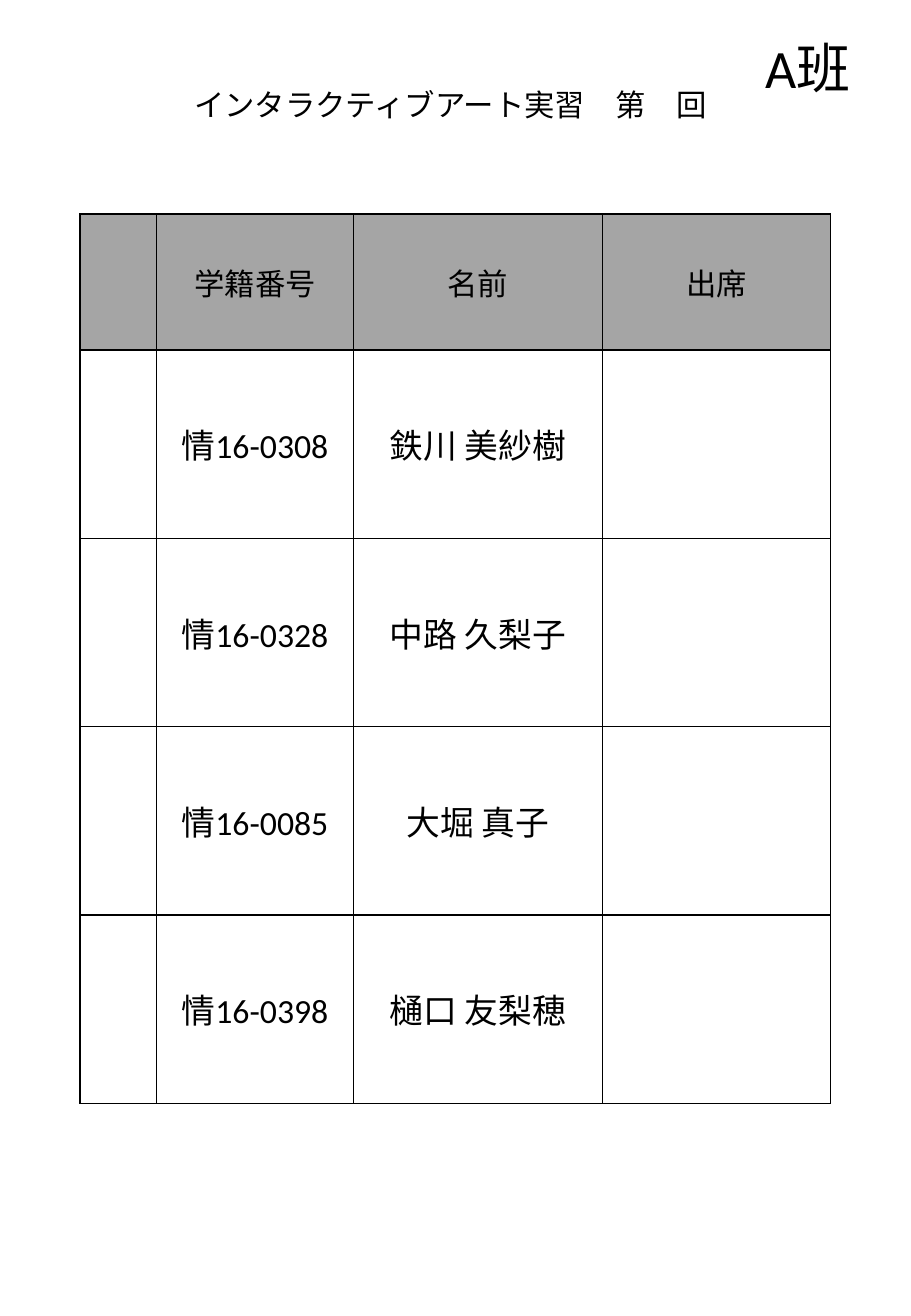
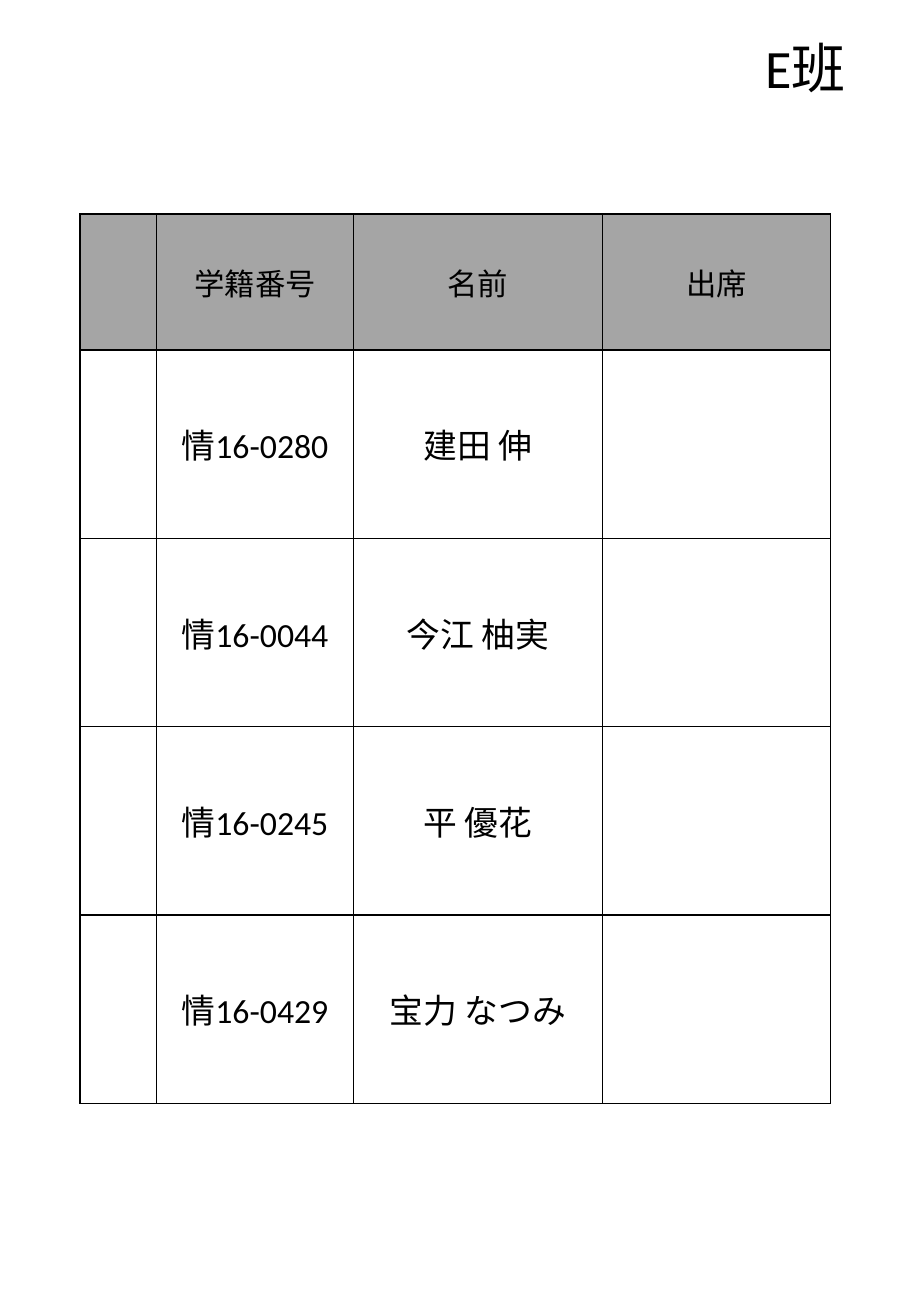
"""Build portrait attendance sheets, one slide per student group."""
from dataclasses import dataclass

from lxml import etree
from pptx import Presentation
from pptx.dml.color import RGBColor
from pptx.enum.text import MSO_ANCHOR, MSO_AUTO_SIZE, PP_ALIGN
from pptx.oxml.ns import qn
from pptx.util import Inches, Pt

LEFT, CENTER = PP_ALIGN.LEFT, PP_ALIGN.CENTER
TOP, MIDDLE = MSO_ANCHOR.TOP, MSO_ANCHOR.MIDDLE
GROW = MSO_AUTO_SIZE.SHAPE_TO_FIT_TEXT
TITLE_ONLY = 5


@dataclass(frozen=True)
class Theme:
    font: str = "Calibri"
    ink: str = "000000"
    head: str = "A5A5A5"
    paper: str = "FFFFFF"
    group_pt: int = 32
    body_pt: int = 20
    label_pt: int = 18
    border_pt: int = 1


THEME = Theme()
COLS = [0.63, 1.62, 2.05, 1.88]
ROWS = [1.12] + [1.55] * 4
HEADER = ["", "学籍番号", "名前", "出席"]
COURSE = "インタラクティブアート実習　第　回"
GROUPS = [
    ("A班", COURSE, [("情16-0308", "鉄川 美紗樹"), ("情16-0328", "中路 久梨子"),
                    ("情16-0085", "大堀 真子"), ("情16-0398", "樋口 友梨穂")]),
    ("E班", None, [("情16-0280", "建田 伸"), ("情16-0044", "今江 柚実"),
                  ("情16-0245", "平 優花"), ("情16-0429", "宝力 なつみ")]),
]


def set_text(tf, text, size, align):
    tf.text = text
    p = tf.paragraphs[0]
    p.alignment = align
    for r in p.runs:
        r.font.name = THEME.font
        r.font.size = Pt(size)
        r.font.color.rgb = RGBColor.from_string(THEME.ink)


def style_cell(cell, fill):
    tcPr = cell._tc.get_or_add_tcPr()
    for side in ("a:lnL", "a:lnR", "a:lnT", "a:lnB"):
        ln = etree.SubElement(tcPr, qn(side), w=str(Pt(THEME.border_pt)))
        solid = etree.SubElement(ln, qn("a:solidFill"))
        etree.SubElement(solid, qn("a:srgbClr"), val=THEME.ink)
    cell.fill.solid()
    cell.fill.fore_color.rgb = RGBColor.from_string(fill)
    cell.vertical_anchor = MIDDLE


prs = Presentation()
prs.slide_width, prs.slide_height = Inches(7.5), Inches(10.83)

for group, course, students in GROUPS:
    s = prs.slides.add_slide(prs.slide_layouts[TITLE_ONLY])

    title = s.shapes.title
    title.left, title.top = Inches(6.2), Inches(0.23)
    title.width, title.height = Inches(1.02), Inches(0.64)
    tf = title.text_frame
    tf.word_wrap, tf.auto_size, tf.vertical_anchor = True, GROW, TOP
    set_text(tf, group, THEME.group_pt, LEFT)

    if course:
        sp = s.shapes.add_textbox(Inches(1.5), Inches(0.66), Inches(4.49), Inches(0.4))
        tf = sp.text_frame
        tf.word_wrap, tf.auto_size = False, GROW
        set_text(tf, course, THEME.label_pt, LEFT)

    table = s.shapes.add_table(len(ROWS), len(COLS), Inches(0.66), Inches(1.76),
                               Inches(sum(COLS)), Inches(sum(ROWS))).table
    table.first_row = table.horz_banding = False
    for col, width in zip(table.columns, COLS):
        col.width = Inches(width)
    for row, height in zip(table.rows, ROWS):
        row.height = Inches(height)

    lines = [HEADER] + [["", number, name, ""] for number, name in students]
    for i, line in enumerate(lines):
        fill = THEME.paper if i else THEME.head
        size = THEME.body_pt if i else THEME.label_pt
        for cell, text in zip(table.rows[i].cells, line):
            style_cell(cell, fill)
            if text:
                set_text(cell.text_frame, text, size, CENTER)

prs.save("out.pptx")
